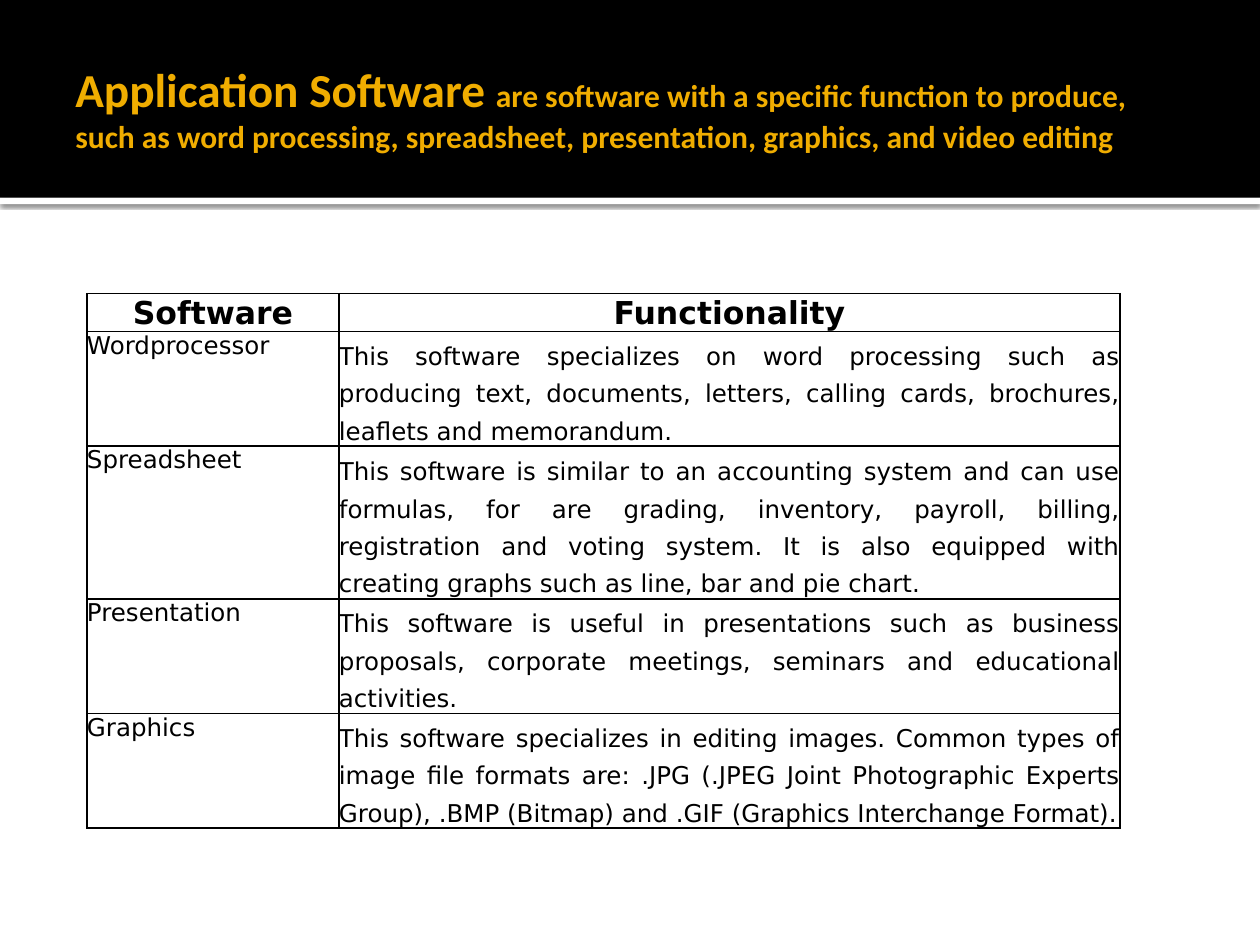
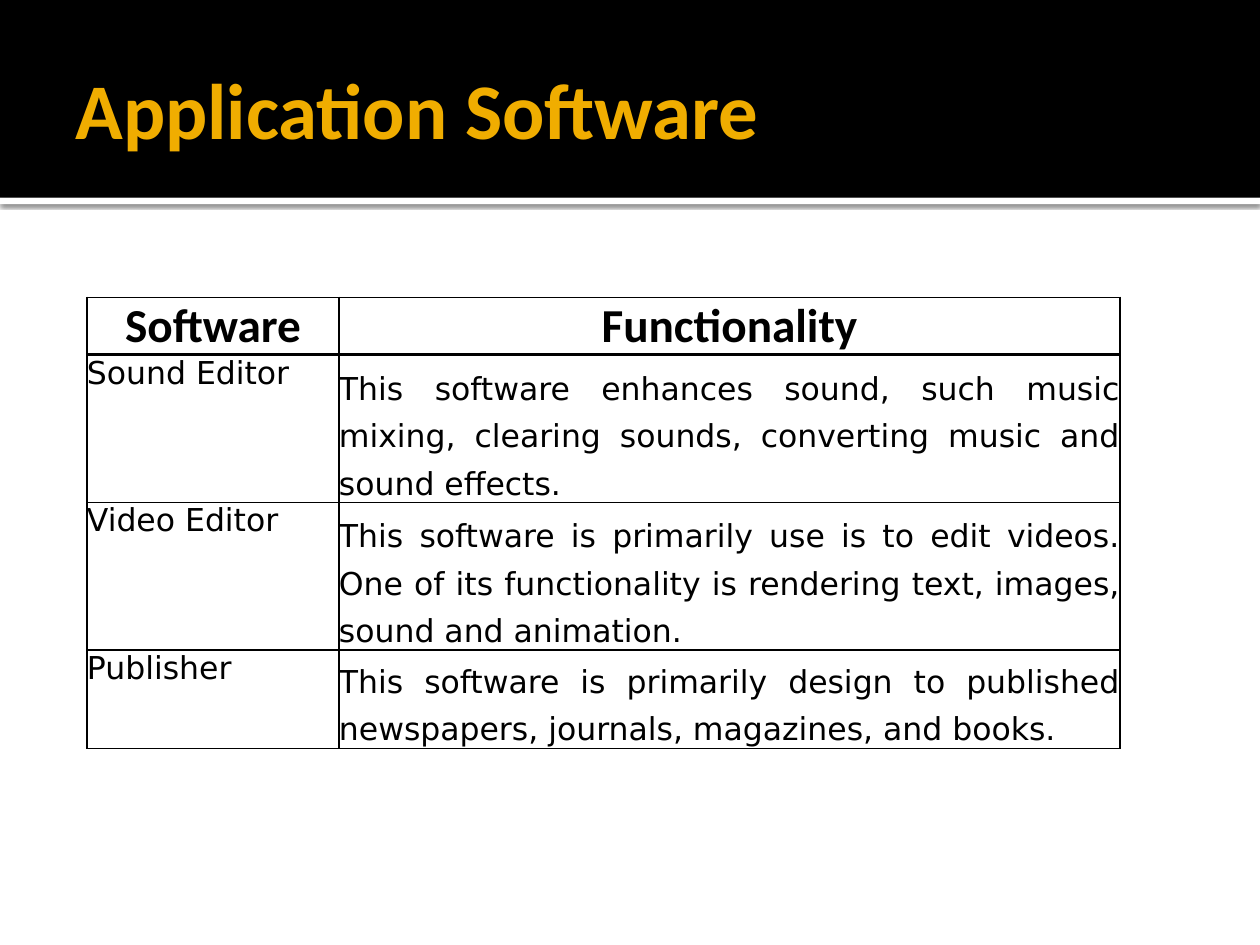
from dataclasses import dataclass

from lxml.etree import SubElement
from pptx import Presentation
from pptx.dml.color import RGBColor
from pptx.enum.shapes import MSO_SHAPE
from pptx.enum.text import MSO_ANCHOR, PP_ALIGN
from pptx.oxml import parse_xml
from pptx.oxml.ns import nsdecls, qn
from pptx.util import Pt

PX = 9144  # EMU per px, 100 px to the inch


@dataclass(frozen=True)
class Theme:
    band: str = "000000"
    paper: str = "FFFFFF"
    accent: str = "F0AD00"
    ink: str = "000000"
    head_font: str = "Calibri"
    body_font: str = "DejaVu Sans"
    title: int = 45
    heading: int = 27
    label: int = 18
    body: int = 14


class Deck:
    LEFT = 69
    COLUMNS = (200, 620)

    def __init__(self, theme):
        self.theme = theme
        self.prs = Presentation()
        self.prs.slide_width, self.prs.slide_height = 1000 * PX, 750 * PX
        self.s = None

    def slide(self, *title_runs):
        self.s = self.prs.slides.add_slide(self.prs.slide_layouts[6])
        strip = self.rect(0, 157, 1000, 5, self.theme.paper)
        self.shadow(strip)
        self.rect(0, 0, 1000, 157, self.theme.band)
        self.title(title_runs)

    def rect(self, x, y, w, h, color):
        sp = self.s.shapes.add_shape(MSO_SHAPE.RECTANGLE, x * PX, y * PX, w * PX, h * PX)
        sp.shadow.inherit = False
        sp.fill.solid()
        sp.fill.fore_color.rgb = RGBColor.from_string(color)
        sp.line.fill.background()
        return sp

    def shadow(self, sp):
        effects = sp._element.spPr.find(qn("a:effectLst"))
        outer = SubElement(effects, qn("a:outerShdw"), blurRad=str(Pt(2.5)),
                           dist=str(Pt(0.8)), dir="5400000", algn="tl", rotWithShape="0")
        color = SubElement(outer, qn("a:srgbClr"), val=self.theme.band)
        SubElement(color, qn("a:alpha"), val="60000")

    def run(self, p, text, size, font, color, bold=False):
        r = p.add_run()
        r.text = text
        r.font.size, r.font.name, r.font.bold = Pt(size), font, bold
        r.font.color.rgb = RGBColor.from_string(color)

    def title(self, runs):
        box = self.s.shapes.add_textbox(50 * PX, 17 * PX, 900 * PX, 137 * PX)
        tf = box.text_frame
        tf.word_wrap = True
        tf.vertical_anchor = MSO_ANCHOR.MIDDLE
        tf.margin_left = 10 * PX
        tf.margin_right = tf.margin_top = tf.margin_bottom = 5 * PX
        for text, size in runs:
            self.run(tf.paragraphs[0], text, size, self.theme.head_font, self.theme.accent, True)

    def table(self, y, heights, rows, size, header=None):
        """Draw a two-column table; header is the (font, size) of its first row, if any."""
        frame = self.s.shapes.add_table(len(rows), len(self.COLUMNS), self.LEFT * PX, y * PX,
                                        sum(self.COLUMNS) * PX, sum(heights) * PX)
        table = frame.table
        table.first_row = table.horz_banding = False
        for column, width in zip(table.columns, self.COLUMNS):
            column.width = width * PX
        for i, (row, height) in enumerate(zip(rows, heights)):
            table.rows[i].height = height * PX
            for j, text in enumerate(row):
                is_head = header is not None and i == 0
                font, points = header if is_head else (self.theme.body_font, size)
                self.cell(table.cell(i, j), text, font, points, is_head, j == 1)

    def cell(self, cell, text, font, size, is_head, is_description):
        cell.fill.background()
        cell.margin_left = cell.margin_right = cell.margin_top = cell.margin_bottom = 0
        low = is_head or is_description
        cell.vertical_anchor = MSO_ANCHOR.BOTTOM if low else MSO_ANCHOR.TOP
        p = cell.text_frame.paragraphs[0]
        if is_head:
            p.alignment = PP_ALIGN.CENTER
        elif is_description:
            p.alignment = PP_ALIGN.JUSTIFY
            p.line_spacing = 1.3
        self.run(p, text, size, font, self.theme.ink, is_head)
        self.borders(cell)

    def borders(self, cell):
        tc_pr = cell._tc.get_or_add_tcPr()
        for i, side in enumerate(("lnL", "lnR", "lnT", "lnB")):
            tc_pr.insert(i, parse_xml(
                f'<a:{side} {nsdecls("a")} w="{Pt(1)}"><a:solidFill>'
                f'<a:srgbClr val="{self.theme.ink}"/></a:solidFill></a:{side}>'))


HEADINGS = ("Software", "Functionality")

OFFICE_SOFTWARE = [
    ("Wordprocessor", "This software specializes on word processing such as producing text, "
     "documents, letters, calling cards, brochures, leaflets and memorandum."),
    ("Spreadsheet", "This software is similar to an accounting system and can use formulas, "
     "for are grading, inventory, payroll, billing, registration and voting system. "
     "It is also equipped with creating graphs such as line, bar and pie chart."),
    ("Presentation", "This software is useful in presentations such as business proposals, "
     "corporate meetings, seminars and educational activities."),
    ("Graphics", "This software specializes in editing images. Common types of image file "
     "formats are: .JPG (.JPEG Joint Photographic Experts Group), .BMP (Bitmap) and "
     ".GIF (Graphics Interchange Format)."),
]

MEDIA_SOFTWARE = [
    ("Sound Editor", "This software enhances sound, such music mixing, clearing sounds, "
     "converting music and sound effects."),
    ("Video Editor", "This software is primarily use is to edit videos. One of its "
     "functionality is rendering text, images, sound and animation."),
    ("Publisher", "This software is primarily design to published newspapers, journals, "
     "magazines, and books."),
]


def main():
    theme = Theme()
    deck = Deck(theme)

    # Slide 1: definition and office software
    deck.slide(("Application Software ", theme.heading),
               ("are software with a specific function to produce, such as word processing, "
                "spreadsheet, presentation, graphics, and video editing", theme.label))
    deck.table(233, (30, 89, 119, 89, 89), [HEADINGS, *OFFICE_SOFTWARE], theme.body,
               header=(theme.body_font, theme.label))

    # Slide 2: media software, with the headings in a table of their own
    deck.slide(("Application Software", theme.title))
    deck.table(282, (113, 113, 75), MEDIA_SOFTWARE, theme.label)
    deck.table(236, (45,), [HEADINGS], theme.label, header=(theme.head_font, theme.heading))

    deck.prs.save("out.pptx")


if __name__ == "__main__":
    main()
